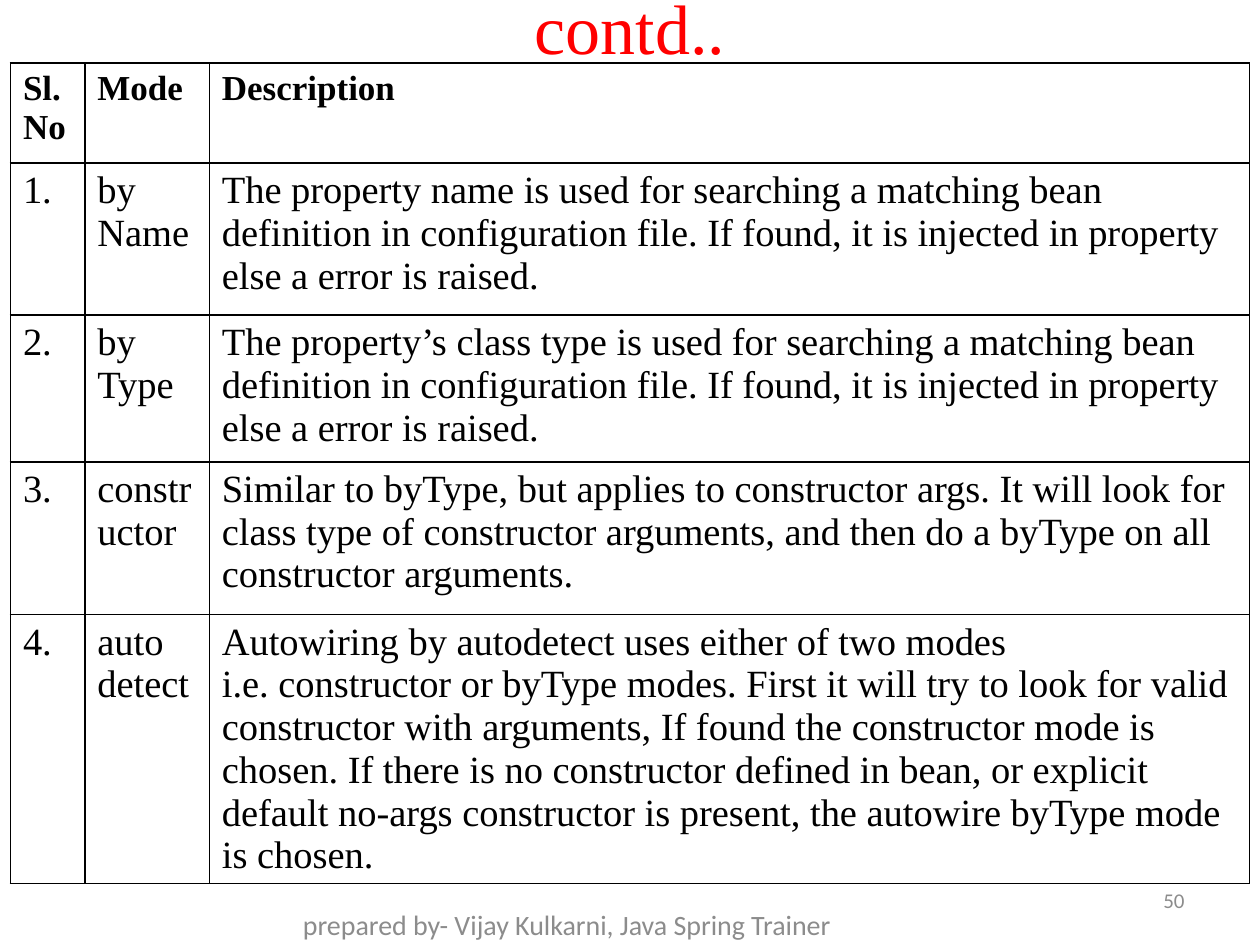
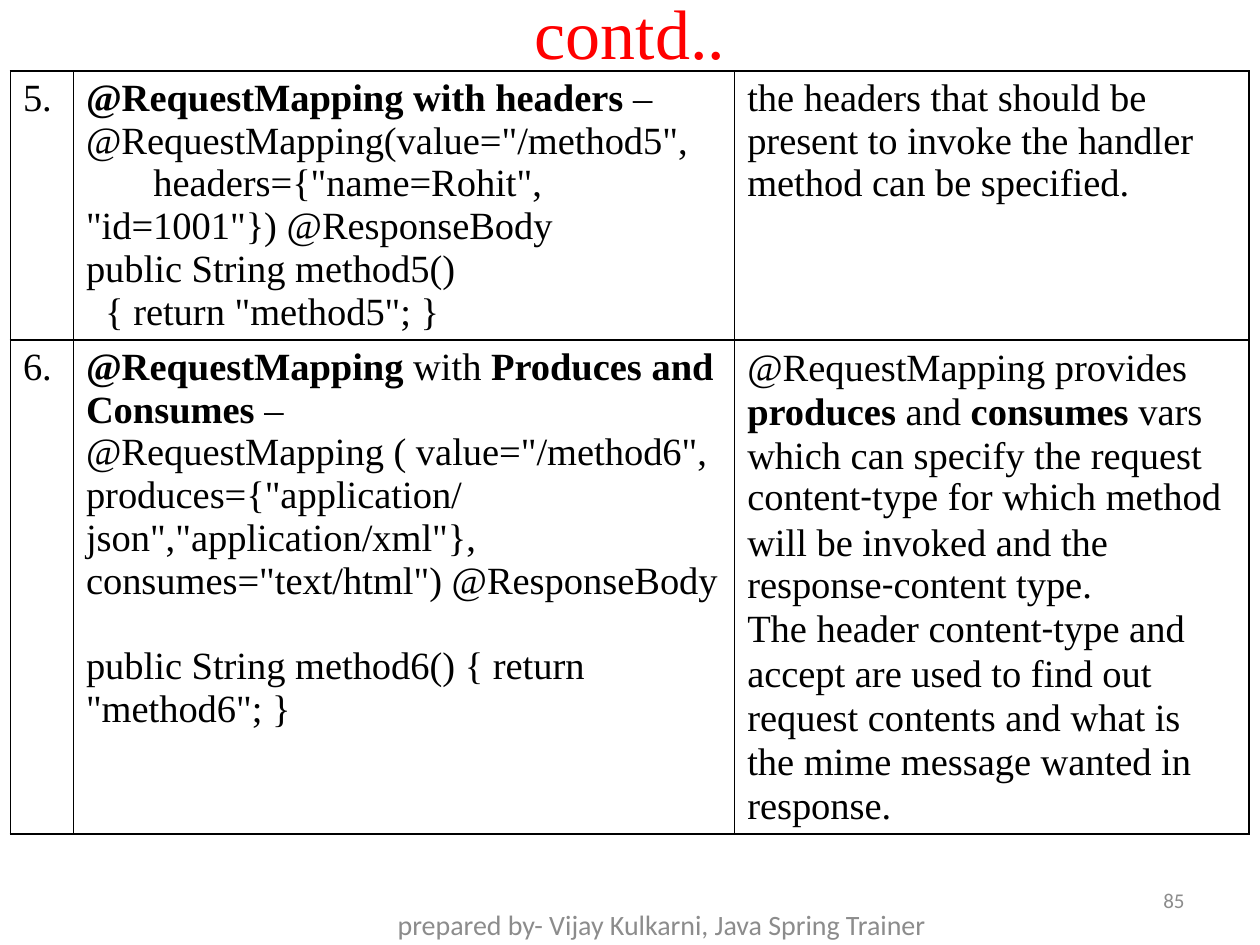
from dataclasses import dataclass
from lxml.etree import SubElement
from pptx import Presentation
from pptx.dml.color import RGBColor
from pptx.enum.text import MSO_ANCHOR, PP_ALIGN
from pptx.oxml.ns import qn
from pptx.util import Cm, Pt


@dataclass(frozen=True)
class Theme:
    serif: str = "Times New Roman"
    sans: str = "Calibri"
    title_color: str = "FF0000"
    text_color: str = "000000"
    footer_color: str = "8C8C8C"
    title_size: int = 40
    header_size: int = 20
    body_size: int = 22
    footer_size: int = 16
    number_size: int = 12
    border_width: int = 1
    header_spacing: float = 22.2
    body_spacing: float = 24.4
    mixed_spacing: float = 25


THEME = Theme()
BOLD = {"bold": True}
SANS = {"font": THEME.sans}
TITLE = "contd.."
FOOTER = "prepared by- Vijay Kulkarni, Java Spring Trainer"

AUTOWIRE_ROWS = [
    ["Sl.No", "Mode", "Description"],
    ["1.", "by Name",
     "The property name is used for searching a matching bean definition in configuration file. "
     "If found, it is injected in property else a error is raised."],
    ["2.", "by Type",
     "The property’s class type is used for searching a matching bean definition in configuration file. "
     "If found, it is injected in property else a error is raised."],
    ["3.", "constructor",
     "Similar to byType, but applies to constructor args. It will look for class type of "
     "constructor arguments, and then do a byType on all constructor arguments."],
    ["4.", "auto detect",
     ["Autowiring by autodetect uses either of two modes",
      "i.e. constructor or byType modes. First it will try to look for valid constructor with "
      "arguments, If found the constructor mode is chosen. If there is no constructor defined in "
      "bean, or explicit default no-args constructor is present, the autowire byType mode is chosen."]],
]

REQUEST_MAPPING_ROWS = [
    ["5.",
     [[("@RequestMapping with headers", BOLD), " –"],
      '@RequestMapping(value="/method5",',
      '       headers={"name=Rohit", "id=1001"}) @ResponseBody',
      "public String method5()",
      '  { return "method5"; }'],
     "the headers that should be present to invoke the handler method can be specified."],
    ["6.",
     [[("@RequestMapping ", BOLD), "with", (" Produces and Consumes", BOLD), " –"],
      '@RequestMapping ( value="/method6",',
      'produces={"application/json","application/xml"}, consumes="text/html") @ResponseBody',
      'public String method6() { return "method6"; }'],
     [["@RequestMapping provides ", ("produces", BOLD), " and ", ("consumes", BOLD),
       " vars which can specify the request content", ("-", SANS),
       "type for which method will be invoked and the response", ("-", SANS), "content type."],
      ["The header content", ("-", SANS),
       "type and accept are used to find out request contents and what is the mime message "
       "wanted in response."]]],
]

HEADER_FORMAT = {"size": THEME.header_size, "bold": True, "line_spacing": THEME.header_spacing}
BODY_FORMAT = {"line_spacing": THEME.body_spacing}

SLIDES = [
    {"number": "50", "title_height": 1.07, "footer_left": 3.81, "table_top": 1.27,
     "columns": [1.5, 2.51, 20.97], "row_heights": [2.02, 3.06, 2.96, 3.08, 5.42],
     "rows": AUTOWIRE_ROWS, "has_header": True, "cell_formats": {}},
    {"number": "85", "title_height": 1.27, "footer_left": 5.72, "table_top": 1.43,
     "columns": [1.27, 13.33, 10.37], "row_heights": [5.4, 9.95],
     "rows": REQUEST_MAPPING_ROWS, "has_header": False,
     "cell_formats": {(1, 1): {"gap_before_last": THEME.body_spacing},
                      (1, 2): {"line_spacing": THEME.mixed_spacing}}},
]


def write_text(text_frame, text, font=THEME.serif, size=THEME.body_size, color=THEME.text_color,
               bold=False, align=PP_ALIGN.LEFT, line_spacing=None, gap_before_last=None):
    text_frame.word_wrap = True
    lines = text if isinstance(text, list) else [text]
    for index, line in enumerate(lines):
        paragraph = text_frame.add_paragraph() if index else text_frame.paragraphs[0]
        paragraph.alignment = align
        if line_spacing:
            paragraph.line_spacing = Pt(line_spacing)
        if gap_before_last and index == len(lines) - 1:
            paragraph.space_before = Pt(gap_before_last)
        for part in line if isinstance(line, list) else [line]:
            words, style = part if isinstance(part, tuple) else (part, {})
            run = paragraph.add_run()
            run.text = words
            run.font.name = style.get("font", font)
            run.font.size = Pt(size)
            run.font.bold = style.get("bold", bold)
            run.font.color.rgb = RGBColor.from_string(color)


def add_label(slide, text, left, top, width, height, **text_format):
    shape = slide.shapes.add_textbox(Cm(left), Cm(top), Cm(width), Cm(height))
    shape.text_frame.vertical_anchor = MSO_ANCHOR.MIDDLE
    write_text(shape.text_frame, text, **text_format)


def add_borders(cell):
    properties = cell._tc.get_or_add_tcPr()
    for side in ("lnL", "lnR", "lnT", "lnB"):
        line = SubElement(properties, qn(f"a:{side}"), w=str(Pt(THEME.border_width)))
        fill = SubElement(line, qn("a:solidFill"))
        SubElement(fill, qn("a:srgbClr"), val=THEME.text_color)


def add_mode_table(slide, content):
    rows, columns, heights = content["rows"], content["columns"], content["row_heights"]
    frame = slide.shapes.add_table(len(rows), len(columns), Cm(0.21), Cm(content["table_top"]),
                                   Cm(sum(columns)), Cm(sum(heights)))
    table = frame.table
    table.first_row = table.horz_banding = False
    for column, width in zip(table.columns, columns):
        column.width = Cm(width)
    for row_index, (row, height) in enumerate(zip(rows, heights)):
        table.rows[row_index].height = Cm(height)
        row_format = HEADER_FORMAT if content["has_header"] and row_index == 0 else BODY_FORMAT
        for column_index, text in enumerate(row):
            cell = table.cell(row_index, column_index)
            add_borders(cell)
            cell.fill.background()
            cell_format = content["cell_formats"].get((row_index, column_index), {})
            write_text(cell.text_frame, text, **{**row_format, **cell_format})


def add_content_slide(presentation, content):
    slide = presentation.slides.add_slide(presentation.slide_layouts[6])
    add_label(slide, TITLE, 0, 0, 25.4, content["title_height"], size=THEME.title_size,
              color=THEME.title_color, align=PP_ALIGN.CENTER)
    add_mode_table(slide, content)
    add_label(slide, content["number"], 18.2, 17.65, 5.93, 1.01, font=THEME.sans,
              size=THEME.number_size, color=THEME.footer_color, align=PP_ALIGN.RIGHT)
    add_label(slide, FOOTER, content["footer_left"], 18.2, 15.24, 0.85, font=THEME.sans,
              size=THEME.footer_size, color=THEME.footer_color, align=PP_ALIGN.CENTER)


def main():
    presentation = Presentation()
    presentation.slide_width, presentation.slide_height = Cm(25.4), Cm(19.05)
    for content in SLIDES:
        add_content_slide(presentation, content)
    presentation.save("out.pptx")


if __name__ == "__main__":
    main()
